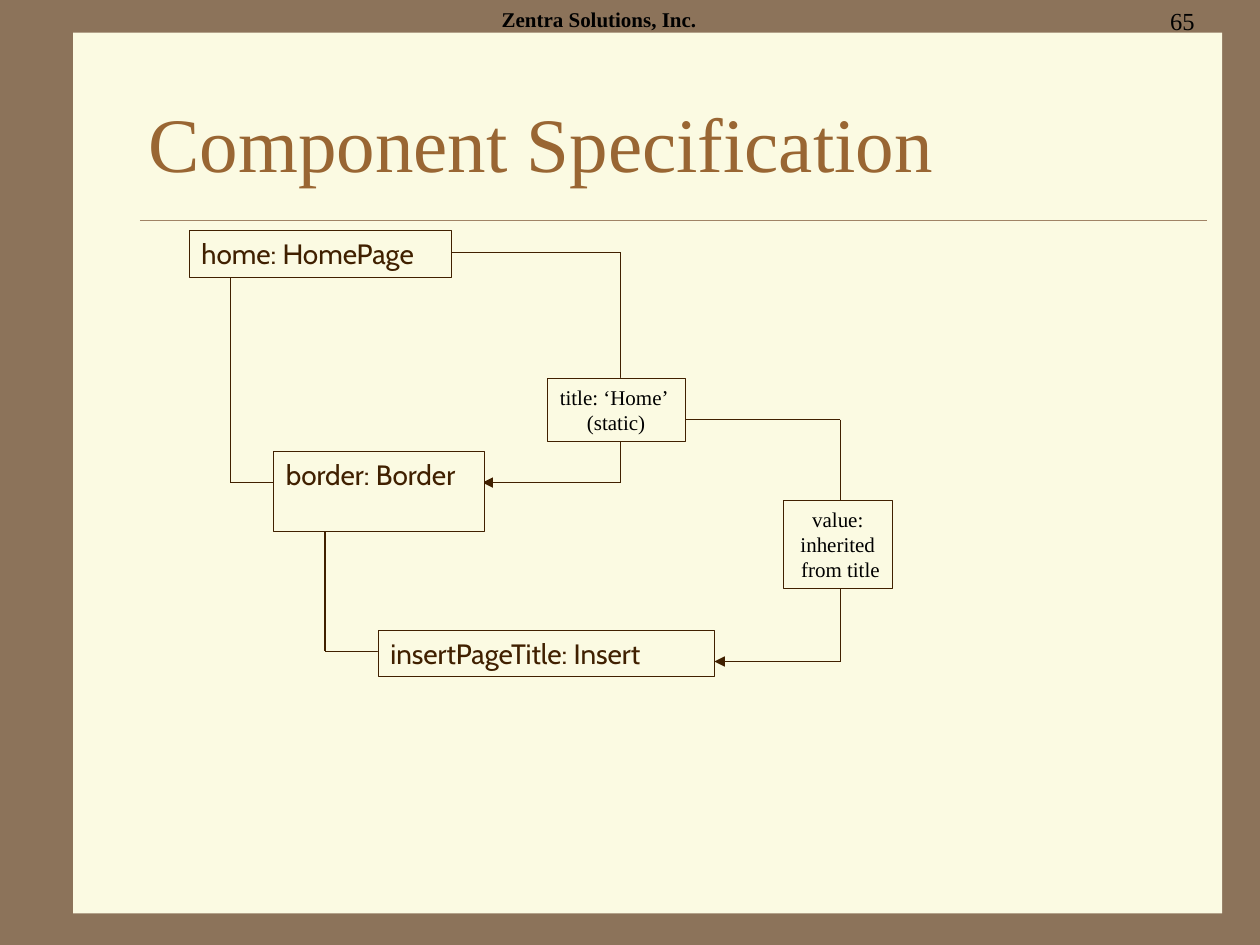
from dataclasses import dataclass
from itertools import pairwise

from lxml.etree import SubElement
from pptx import Presentation
from pptx.dml.color import RGBColor
from pptx.enum.shapes import MSO_CONNECTOR as CONNECTOR, MSO_SHAPE as SHAPE
from pptx.enum.text import MSO_ANCHOR as ANCHOR, MSO_AUTO_SIZE as AUTO_SIZE, PP_ALIGN as ALIGN
from pptx.oxml.ns import qn
from pptx.util import Inches, Pt


@dataclass(frozen=True)
class Theme:
    frame: RGBColor = RGBColor.from_string("8C735A")
    paper: RGBColor = RGBColor.from_string("FBFAE2")
    rule: RGBColor = RGBColor.from_string("A08366")
    title: RGBColor = RGBColor.from_string("996633")
    ink: RGBColor = RGBColor.from_string("402000")
    black: RGBColor = RGBColor.from_string("000000")
    serif: str = "Times New Roman"
    sans: str = "Cabin"
    title_size: int = 44
    component_size: int = 16
    number_size: int = 14
    small_size: int = 12
    hairline: float = 0.25
    tree_line: float = 0.75


theme = Theme()


def write(frame, text, size, color=theme.black, font=theme.serif, bold=False,
          align=ALIGN.LEFT, anchor=ANCHOR.TOP, wrap=True):
    frame.auto_size = AUTO_SIZE.NONE
    frame.word_wrap = wrap
    frame.vertical_anchor = anchor
    para = frame.paragraphs[0]
    para.alignment = align
    for number, line in enumerate(text.split("\n")):
        if number:
            para.add_line_break()
        span = para.add_run()
        span.text = line
        span.font.name = font
        span.font.size = Pt(size)
        span.font.bold = bold
        span.font.color.rgb = color


def draw_path(points, color=theme.ink, width=theme.hairline, arrow=False):
    for (x1, y1), (x2, y2) in pairwise(points):
        line = page.shapes.add_connector(
            CONNECTOR.STRAIGHT, Inches(x1), Inches(y1), Inches(x2), Inches(y2))
        line.line.color.rgb = color
        line.line.width = Pt(width)
        properties = line._element.spPr
        SubElement(properties, qn("a:effectLst"))
    if arrow:
        SubElement(properties.find(qn("a:ln")), qn("a:tailEnd"), type="triangle")


deck = Presentation()
deck.slide_width, deck.slide_height = Inches(10), Inches(7.5)
page = deck.slides.add_slide(deck.slide_layouts[5])
page.background.fill.solid()
page.background.fill.fore_color.rgb = theme.frame

# Paper panel and the rule under the title
panel = page.shapes.add_shape(
    SHAPE.RECTANGLE, Inches(0.58), Inches(0.26), Inches(9.12), Inches(6.99))
panel.shadow.inherit = False
panel.fill.solid()
panel.fill.fore_color.rgb = theme.paper
panel.line.fill.background()
draw_path([(1.11, 1.75), (9.58, 1.75)], color=theme.rule)

# Title, brought in front of the panel
title = page.shapes.title
title.left, title.top = Inches(1.08), Inches(0.5)
title.width, title.height = Inches(8.5), Inches(1.25)
write(title.text_frame, "Component Specification", theme.title_size,
      color=theme.title, anchor=ANCHOR.MIDDLE)
page.shapes._spTree.append(title._element)

# Containment tree and parameter bindings, drawn behind the boxes
draw_path([(1.83, 2.08), (1.83, 3.83), (2.58, 3.83)], width=theme.tree_line)
draw_path([(2.58, 4), (2.58, 5.17), (3.08, 5.17)], width=theme.tree_line)
draw_path([(5.08, 3.33), (6.67, 3.33), (6.67, 5.25), (5.67, 5.25)], arrow=True)
draw_path([(3.58, 2), (4.92, 2), (4.92, 3.83), (3.83, 3.83)], arrow=True)

# Component and binding boxes
component = dict(size=theme.component_size, color=theme.ink, font=theme.sans)
binding = dict(size=theme.small_size, align=ALIGN.CENTER, anchor=ANCHOR.MIDDLE, wrap=False)
boxes = [
    ("home: HomePage", (1.5, 1.83, 2.08, 0.37), component),
    ("border: Border", (2.17, 3.58, 1.67, 0.64), component),
    ("insertPageTitle: Insert", (3, 5, 2.67, 0.37), component),
    ("value:\ninherited\n from title", (6.22, 3.97, 0.86, 0.7), binding),
    ("title: ‘Home’ \n(static)", (4.34, 3, 1.1, 0.5), binding),
]
for text, place, style in boxes:
    box = page.shapes.add_shape(SHAPE.RECTANGLE, *map(Inches, place))
    box.shadow.inherit = False
    box.fill.solid()
    box.fill.fore_color.rgb = theme.paper
    box.line.color.rgb = theme.ink
    box.line.width = Pt(theme.hairline)
    write(box.text_frame, text, **style)

# Company name and page number in the top band
company = page.shapes.add_textbox(Inches(3.17), Inches(0), Inches(3.17), Inches(0.5))
write(company.text_frame, "Zentra Solutions, Inc.", theme.small_size,
      bold=True, align=ALIGN.CENTER)
number = page.shapes.add_textbox(Inches(7.5), Inches(0), Inches(2.08), Inches(0.5))
write(number.text_frame, "65", theme.number_size, align=ALIGN.RIGHT)

deck.save("out.pptx")
